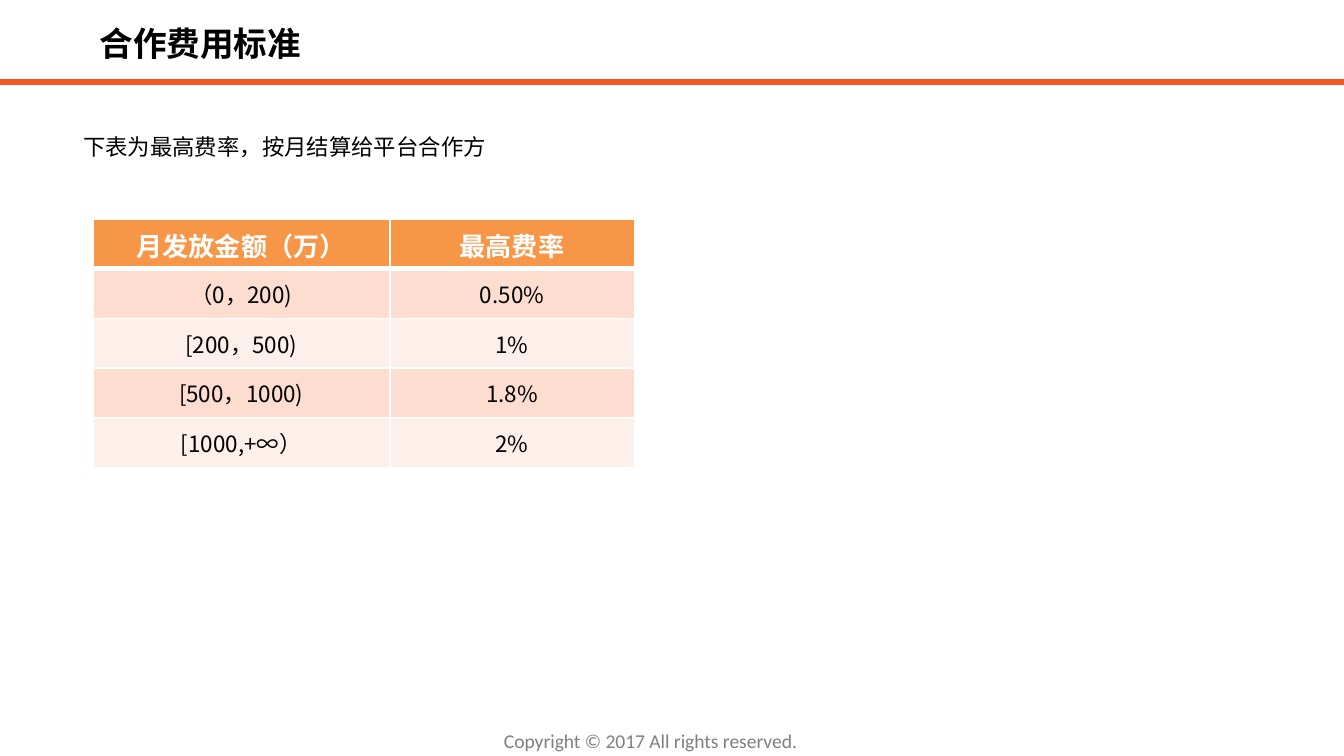
from lxml import etree
from pptx import Presentation
from pptx.dml.color import RGBColor
from pptx.enum.shapes import MSO_CONNECTOR
from pptx.enum.text import MSO_ANCHOR as Anchor, PP_ALIGN as Align
from pptx.oxml.ns import qn
from pptx.util import Inches, Pt

CJK = "Noto Sans CJK SC"
BLACK, WHITE, GREY = "000000", "FFFFFF", "7F7F7F"
RULE, HEADER, BANDS = "F25822", "F79646", ("FCDDCF", "FDEFE9")
WIDTH = 10
HEIGHT = WIDTH * 9 / 16
MARGIN = 0.69
COLUMNS = (2.21, 1.82)
ROW_HEIGHT = 0.37
RATES = [
    ("月发放金额（万）", "最高费率"),
    ("（0，200)", "0.50%"),
    ("[200，500)", "1%"),
    ("[500，1000)", "1.8%"),
    ("[1000,+∞）", "2%"),
]


def rgb(color):
    return RGBColor.from_string(color)


def add_run(paragraph, text, size, color, font=CJK, bold=False):
    run = paragraph.add_run()
    run.text = text
    run.font.size, run.font.bold, run.font.name = Pt(size), bold, font
    run.font.color.rgb = rgb(color)
    etree.SubElement(run.font._element, qn("a:ea"), typeface=font)


def set_frame(frame, inset_x, inset_y, anchor=Anchor.TOP, wrap=True):
    frame.margin_left = frame.margin_right = Inches(inset_x)
    frame.margin_top = frame.margin_bottom = Inches(inset_y)
    frame.vertical_anchor, frame.word_wrap = anchor, wrap


def add_heading(slide, left, top, width, height):
    title = slide.shapes.title
    title.left, title.top = Inches(left), Inches(top)
    title.width, title.height = Inches(width), Inches(height)
    set_frame(title.text_frame, 0.05, 0.05, wrap=False)
    paragraph = title.text_frame.paragraphs[0]
    paragraph.alignment = Align.LEFT
    add_run(paragraph, "合作费用标准", 18, BLACK, bold=True)


def add_rule(slide, y):
    rule = slide.shapes.add_connector(
        MSO_CONNECTOR.STRAIGHT, 0, Inches(y), Inches(WIDTH), Inches(y))
    rule.line.color.rgb, rule.line.width = rgb(RULE), Pt(3)
    etree.SubElement(rule._element.spPr, qn("a:effectLst"))


def add_text(slide, box, text, size, color, font, insets, anchor=Anchor.TOP):
    frame = slide.shapes.add_textbox(*map(Inches, box)).text_frame
    set_frame(frame, *insets, anchor)
    add_run(frame.paragraphs[0], text, size, color, font)


def set_borders(cell, top, bottom):
    """Draw white borders: 1 pt at the sides, the given widths above and below."""
    properties = cell._tc.get_or_add_tcPr()
    widths = {"a:lnL": 1, "a:lnR": 1, "a:lnT": top, "a:lnB": bottom}
    for position, (side, width) in enumerate(widths.items()):
        line = etree.Element(qn(side), w=str(Pt(width)))
        fill = etree.SubElement(line, qn("a:solidFill"))
        etree.SubElement(fill, qn("a:srgbClr"), val=WHITE)
        properties.insert(position, line)


def add_rate_table(slide, left, top):
    size = (sum(COLUMNS), ROW_HEIGHT * len(RATES))
    table = slide.shapes.add_table(
        len(RATES), len(COLUMNS), *map(Inches, (left, top, *size))).table
    for column, width in zip(table.columns, COLUMNS):
        column.width = Inches(width)
    for r, row in enumerate(RATES):
        is_header = r == 0
        for c, text in enumerate(row):
            cell = table.cell(r, c)
            cell.vertical_anchor = Anchor.TOP if is_header else Anchor.MIDDLE
            cell.fill.solid()
            cell.fill.fore_color.rgb = rgb(HEADER if is_header else BANDS[(r - 1) % 2])
            set_borders(cell, 3 if r == 1 else 1, 3 if is_header else 1)
            paragraph = cell.text_frame.paragraphs[0]
            paragraph.alignment = Align.CENTER
            add_run(paragraph, text, 14 if is_header else 12,
                    WHITE if is_header else BLACK, bold=is_header)


def build_fee_slide(deck):
    slide = deck.slides.add_slide(deck.slide_layouts[5])
    add_text(slide, (3.75, 5.47, 2.67, 0.13),
             "Copyright © 2017 All rights reserved.", 10.5, GREY, "Calibri",
             (0, 0), Anchor.BOTTOM)
    add_heading(slide, MARGIN, 0.12, 1.62, 0.4)
    add_rule(slide, 0.61)
    add_text(slide, (0.52, 0.94, 4.2, 0.3),
             "下表为最高费率，按月结算给平台合作方", 12, BLACK, CJK, (0.1, 0.05))
    add_rate_table(slide, MARGIN, 1.63)


def main():
    deck = Presentation()
    deck.slide_width, deck.slide_height = Inches(WIDTH), Inches(HEIGHT)
    build_fee_slide(deck)
    deck.save("out.pptx")


if __name__ == "__main__":
    main()
